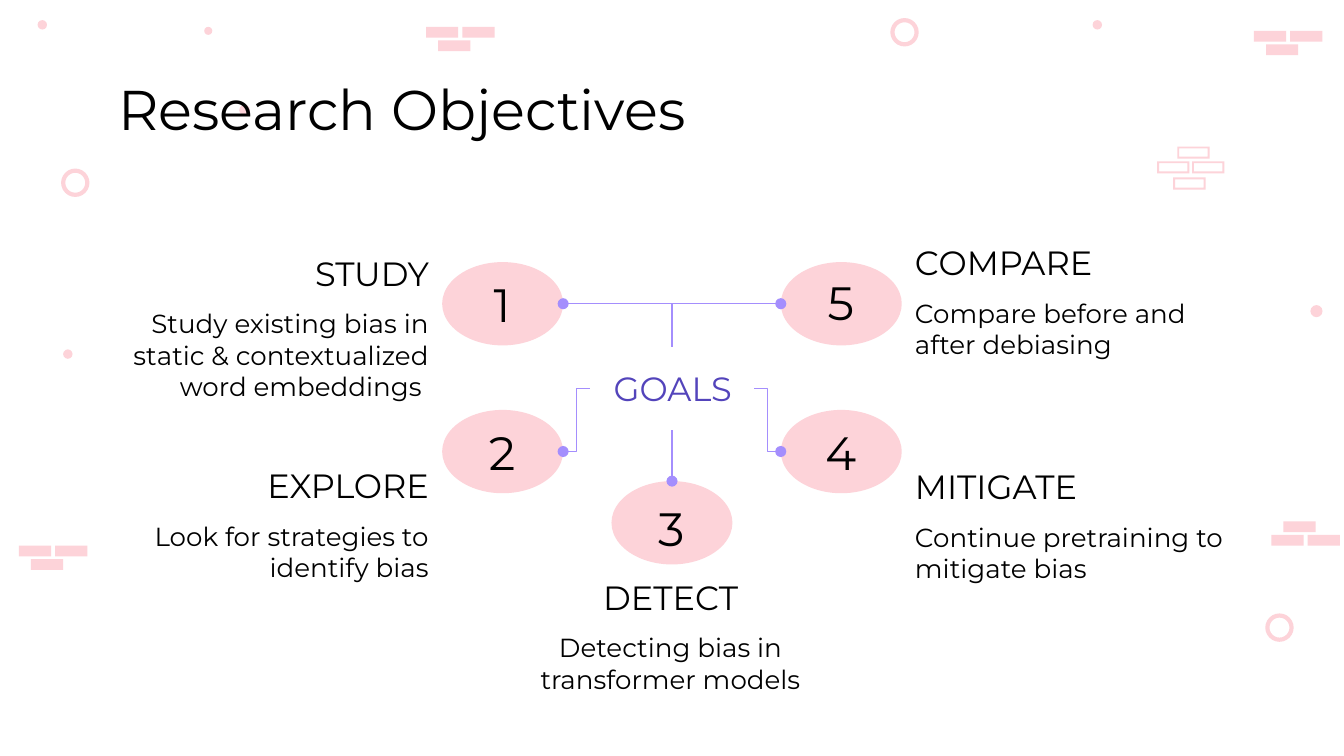
from lxml import etree
from pptx import Presentation
from pptx import util as u
from pptx.dml.color import RGBColor
from pptx.enum import shapes, text
from pptx.oxml import ns

PINK, LILAC, PURPLE, BLACK = "FDD3D9", "A48EFD", "5344BB", "000000"
KIND = shapes.MSO_SHAPE
LEFT, MID, RIGHT = text.PP_ALIGN.LEFT, text.PP_ALIGN.CENTER, text.PP_ALIGN.RIGHT
TOP, CENTER, BASE = text.MSO_ANCHOR.TOP, text.MSO_ANCHOR.MIDDLE, text.MSO_ANCHOR.BOTTOM


def color(code):
    return RGBColor.from_string(code)


def apply(item, values):
    for name, value in values.items():
        setattr(item, name, value)


class Deck:
    font = "Montserrat"

    def __init__(self, slide):
        self.slide = slide
        self.items = slide.shapes

    def fill(self, kind, x, y, w, h):
        shape = self.items.add_shape(kind, *map(u.Inches, (x, y, w, h)))
        shape.shadow.inherit = False
        shape.fill.solid()
        shape.fill.fore_color.rgb = color(PINK)
        shape.line.fill.background()
        return shape

    def ring(self, x, y, size):
        shape = self.fill(KIND.OVAL, x, y, size, size)
        shape.fill.background()
        shape.line.color.rgb = color(PINK)
        shape.line.width = u.Pt(2.25)

    def wall(self, x, y, drop):
        """Two bricks in a row and one set half a brick in, above or below."""
        for dx, dy in ((0, 0), (0.27, 0), (0.09, drop)):
            self.fill(KIND.RECTANGLE, x + dx, y + dy, 0.24, 0.08)

    def words(self, box, words, size, align=LEFT, anchor=TOP, ink=BLACK):
        frame = box.text_frame
        apply(frame, {"text": words, "word_wrap": True, "vertical_anchor": anchor,
                      "auto_size": text.MSO_AUTO_SIZE.NONE})
        apply(frame, {"margin_" + side: u.Inches(0.1)
                      for side in ("left", "right", "top", "bottom")})
        para = frame.paragraphs[0]
        para.alignment = align
        apply(para.runs[0].font, {"name": self.font, "size": u.Pt(size)})
        para.runs[0].font.color.rgb = color(ink)

    def label(self, x, y, w, h, *style, **more):
        box = self.items.add_textbox(*map(u.Inches, (x, y, w, h)))
        self.words(box, *style, **more)

    def title(self, x, y, w, h, words):
        box = self.items.title
        apply(box, dict(zip(("left", "top", "width", "height"),
                            map(u.Inches, (x, y, w, h)))))
        self.words(box, words, 30, anchor=CENTER)
        # Bring the title in front of the decoration
        box._element.getparent().append(box._element)

    def link(self, start, end, form):
        """Connector with a dot where it meets a bubble."""
        line = self.items.add_connector(shapes.MSO_CONNECTOR.ELBOW,
                                        *map(u.Inches, start + end))
        line.line.color.rgb = color(LILAC)
        line.line.width = u.Pt(0.75)
        props = line._element.spPr
        props.find(ns.qn("a:prstGeom")).set("prst", form)
        etree.SubElement(props.find(ns.qn("a:ln")), ns.qn("a:headEnd"), type="oval")
        etree.SubElement(props, ns.qn("a:effectLst"))


def main():
    # Widescreen page, 16:9
    prs = Presentation()
    prs.slide_width = u.Inches(10)
    prs.slide_height = prs.slide_width * 9 // 16
    deck = Deck(prs.slides.add_slide(prs.slide_layouts[5]))
    back = deck.slide.background.fill
    back.solid()
    back.fore_color.rgb = color("FFFFFF")

    # Decoration: bricks, dots and rings
    for x, y, drop in ((9.46, 3.98, -0.1), (9.33, 0.23, 0.1),
                       (3.17, 0.2, 0.1), (0.14, 4.06, 0.1)):
        deck.wall(x, y, drop)
    for x, y, size in ((8.13, 0.15, 0.07), (1.78, 0.78, 0.08), (9.75, 2.27, 0.09),
                       (0.47, 2.6, 0.07), (1.52, 0.2, 0.06), (0.28, 0.15, 0.07)):
        deck.fill(KIND.OVAL, x, y, size, size)
    for x, y in ((6.64, 0.15), (0.47, 1.27), (9.43, 4.58)):
        deck.ring(x, y, 0.18)
    for x, y in ((8.61, 1.2), (8.76, 1.09), (8.73, 1.32), (8.87, 1.2)):
        deck.fill(KIND.FRAME, x, y, 0.24, 0.09).adjustments[0] = 0.16

    deck.title(0.78, 0.58, 8.43, 0.45, "Research Objectives")

    # Goals: bubble place, number top, label place, alignment, texts
    wide, high = 0.9, 0.62
    goals = (
        (3.29, 1.95, 1.95, 0.79, 1.87, RIGHT, "STUDY",
         "Study existing bias in static & contextualized word embeddings "),
        (3.29, 3.05, 3.05, 0.79, 3.45, RIGHT, "EXPLORE",
         "Look for strategies to identify bias"),
        (4.55, 3.58, 3.62, 3.74, 4.28, MID, "DETECT",
         "Detecting bias in transformer models"),
        (5.81, 3.05, 3.05, 6.71, 3.46, LEFT, "MITIGATE",
         "Continue pretraining to mitigate bias"),
        (5.81, 1.95, 1.94, 6.71, 1.79, LEFT, "COMPARE",
         "Compare before and after debiasing"),
    )
    for num, (x, y, top, left, head, align, name, note) in enumerate(goals, 1):
        deck.fill(KIND.OVAL, x, y, wide, high)
        deck.label(x + 0.04, top, 0.81, high, str(num), 25, MID)
        deck.label(left, head + 0.32, 2.5, 0.55, note, 14, align)
        deck.label(left, head, 2.5, 0.41, name, 18, align, BASE)

    # Hub and its links to the bubbles
    deck.label(4.39, 2.58, 1.23, high, "GOALS", 18, MID, CENTER, ink=PURPLE)
    for edge, hub in ((4.19, 4.39), (5.81, 5.61)):
        deck.link((edge, 2.26), (5, 2.58), "bentConnector2")
        deck.link((edge, 3.36), (hub, 2.89), "bentConnector3")
    deck.link((5, 3.58), (5, 3.2), "line")

    prs.save("out.pptx")


if __name__ == "__main__":
    main()
